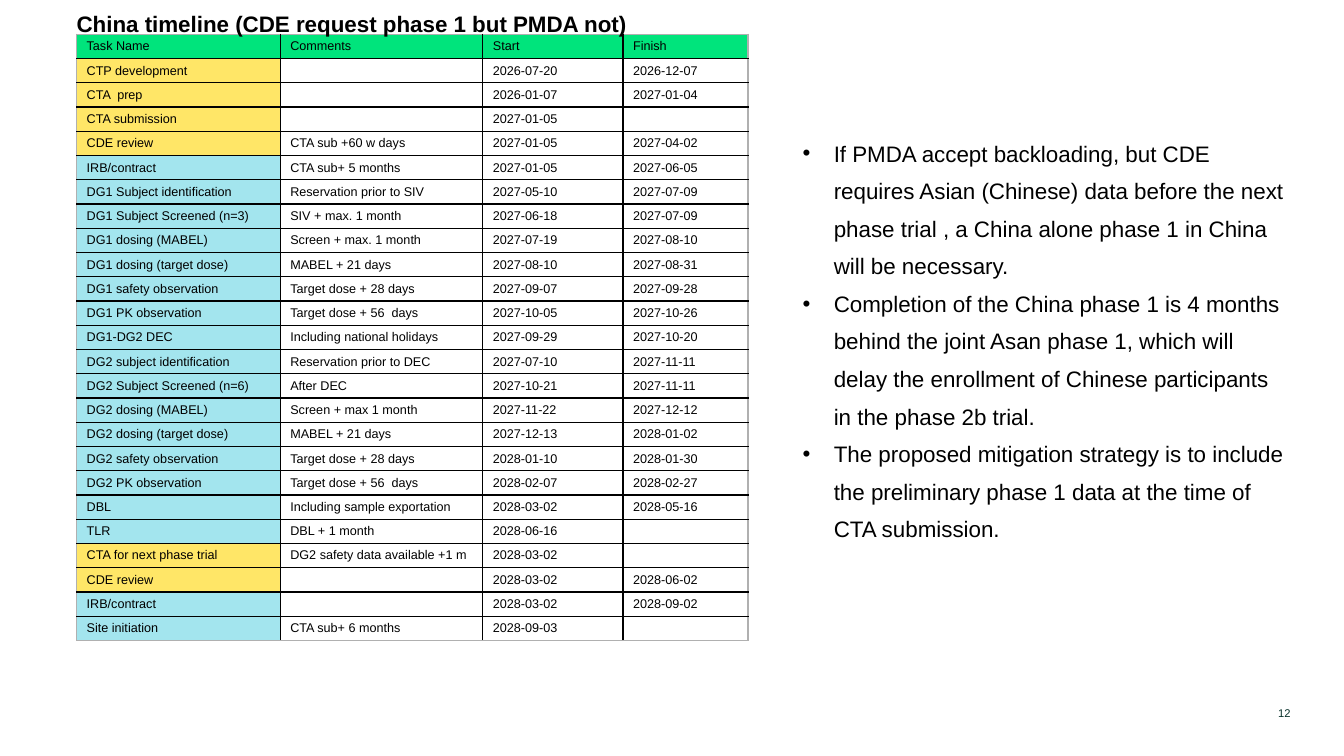
"""Build the China timeline slide: a task table beside three conclusions."""
import pptx
import pptx.dml.color
import pptx.enum.text
import pptx.oxml
import pptx.oxml.ns
import pptx.util

Inches = pptx.util.Inches
Pt = pptx.util.Pt
Anchor = pptx.enum.text.MSO_ANCHOR

COLORS = {
    "text": "000000",
    "number": "08312A",
    "grid": "000000",
    "frame": "B0B0B0",
    "header": "00E47C",
    "regulatory": "FFE667",
    "study": "A3E5EE",
}

TASKS = [
    ("header", "Task Name", "Comments", "Start", "Finish"),
    ("regulatory", "CTP development", "", "2026-07-20", "2026-12-07"),
    ("regulatory", "CTA  prep", "", "2026-01-07", "2027-01-04"),
    ("regulatory", "CTA submission", "", "2027-01-05", ""),
    ("regulatory", "CDE review", "CTA sub +60 w days", "2027-01-05", "2027-04-02"),
    ("study", "IRB/contract", "CTA sub+ 5 months", "2027-01-05", "2027-06-05"),
    ("study", "DG1 Subject identification", "Reservation prior to SIV", "2027-05-10", "2027-07-09"),
    ("study", "DG1 Subject Screened (n=3)", "SIV + max. 1 month", "2027-06-18", "2027-07-09"),
    ("study", "DG1 dosing (MABEL)", "Screen + max. 1 month", "2027-07-19", "2027-08-10"),
    ("study", "DG1 dosing (target dose)", "MABEL + 21 days", "2027-08-10", "2027-08-31"),
    ("study", "DG1 safety observation", "Target dose + 28 days", "2027-09-07", "2027-09-28"),
    ("study", "DG1 PK observation", "Target dose + 56  days", "2027-10-05", "2027-10-26"),
    ("study", "DG1-DG2 DEC", "Including national holidays", "2027-09-29", "2027-10-20"),
    ("study", "DG2 subject identification", "Reservation prior to DEC", "2027-07-10", "2027-11-11"),
    ("study", "DG2 Subject Screened (n=6)", "After DEC", "2027-10-21", "2027-11-11"),
    ("study", "DG2 dosing (MABEL)", "Screen + max 1 month", "2027-11-22", "2027-12-12"),
    ("study", "DG2 dosing (target dose)", "MABEL + 21 days", "2027-12-13", "2028-01-02"),
    ("study", "DG2 safety observation", "Target dose + 28 days", "2028-01-10", "2028-01-30"),
    ("study", "DG2 PK observation", "Target dose + 56  days", "2028-02-07", "2028-02-27"),
    ("study", "DBL", "Including sample exportation", "2028-03-02", "2028-05-16"),
    ("study", "TLR", "DBL + 1 month", "2028-06-16", ""),
    ("regulatory", "CTA for next phase trial", "DG2 safety data available +1 m", "2028-03-02", ""),
    ("regulatory", "CDE review", "", "2028-03-02", "2028-06-02"),
    ("study", "IRB/contract", "", "2028-03-02", "2028-09-02"),
    ("study", "Site initiation", "CTA sub+ 6 months", "2028-09-03", ""),
]

CONCLUSIONS = [
    "If PMDA accept backloading, but CDE requires Asian (Chinese) data before the next "
    "phase trial , a China alone phase 1 in China will be necessary.",
    "Completion of the China phase 1 is 4 months behind the joint Asan phase 1, which will "
    "delay the enrollment of Chinese participants in the phase 2b trial.",
    "The proposed mitigation strategy is to include the preliminary phase 1 data at the time "
    "of CTA submission.",
]


def add_span(para, text, size, color="text", bold=False):
    span = para.add_run()
    span.text = text
    span.font.name = "Arial"
    span.font.size = Pt(size)
    span.font.bold = bold
    span.font.color.rgb = pptx.dml.color.RGBColor.from_string(COLORS[color])


def add_box(left, top, width, height, anchor=Anchor.TOP):
    frame = page.shapes.add_textbox(
        Inches(left), Inches(top), Inches(width), Inches(height)).text_frame
    frame.word_wrap = True
    frame.vertical_anchor = anchor
    frame.margin_left = frame.margin_right = frame.margin_top = frame.margin_bottom = 0
    return frame


deck = pptx.Presentation()
deck.slide_width = Inches(13.33)
deck.slide_height = Inches(7.5)
page = deck.slides.add_slide(deck.slide_layouts[6])

number = add_box(12.49, 6.83, 0.31, 0.31, Anchor.BOTTOM).paragraphs[0]
number.alignment = pptx.enum.text.PP_ALIGN.RIGHT
add_span(number, "12", 8, "number")

widths = [2.02, 2.01, 1.39, 1.24]
timeline = page.shapes.add_table(
    len(TASKS), len(widths), Inches(0.76), Inches(0.34), Inches(sum(widths)), Inches(6.02)).table
timeline.first_row = False
timeline.horz_banding = False
for column, width in zip(timeline.columns, widths):
    column.width = Inches(width)

for row_index, (group, *texts) in enumerate(TASKS):
    for column_index, text in enumerate(texts):
        cell = timeline.cell(row_index, column_index)
        cell.vertical_anchor = Anchor.MIDDLE
        cell.margin_top = cell.margin_bottom = Inches(0.03)
        para = cell.text_frame.paragraphs[0]
        if text:
            add_span(para, text, 9)
        else:
            para._p.get_or_add_endParaRPr().set("sz", "900")

        on_frame = {
            "L": column_index == 0,
            "R": column_index == len(widths) - 1,
            "T": row_index == 0,
            "B": row_index == len(TASKS) - 1,
        }
        for side, outer in on_frame.items():
            color = COLORS["frame" if outer else "grid"]
            cell._tc.get_or_add_tcPr().append(pptx.oxml.parse_xml(
                f'<a:ln{side} {pptx.oxml.ns.nsdecls("a")} w="12700"><a:solidFill>'
                f'<a:srgbClr val="{color}"/></a:solidFill></a:ln{side}>'))

        if column_index == 0 or group == "header":
            cell.fill.solid()
            cell.fill.fore_color.rgb = pptx.dml.color.RGBColor.from_string(COLORS[group])
        else:
            cell.fill.background()

title = add_box(0.76, -0.01, 8.38, 0.35).paragraphs[0]
title.line_spacing = 1.4
add_span(title, "China timeline (CDE request phase 1 but PMDA not)", 16, bold=True)

conclusions = add_box(7.96, 1.28, 4.85, 4.1)
for index, text in enumerate(CONCLUSIONS):
    para = conclusions.add_paragraph() if index else conclusions.paragraphs[0]
    properties = para._p.get_or_add_pPr()
    properties.set("marL", str(Inches(0.31)))
    properties.set("indent", str(-Inches(0.31)))
    for bullet in ('buFont {} typeface="Arial"', 'buChar {} char="•"'):
        properties.append(pptx.oxml.parse_xml(
            f'<a:{bullet.format(pptx.oxml.ns.nsdecls("a"))}/>'))
    para.line_spacing = 1.4
    add_span(para, text, 16)

deck.save("out.pptx")
